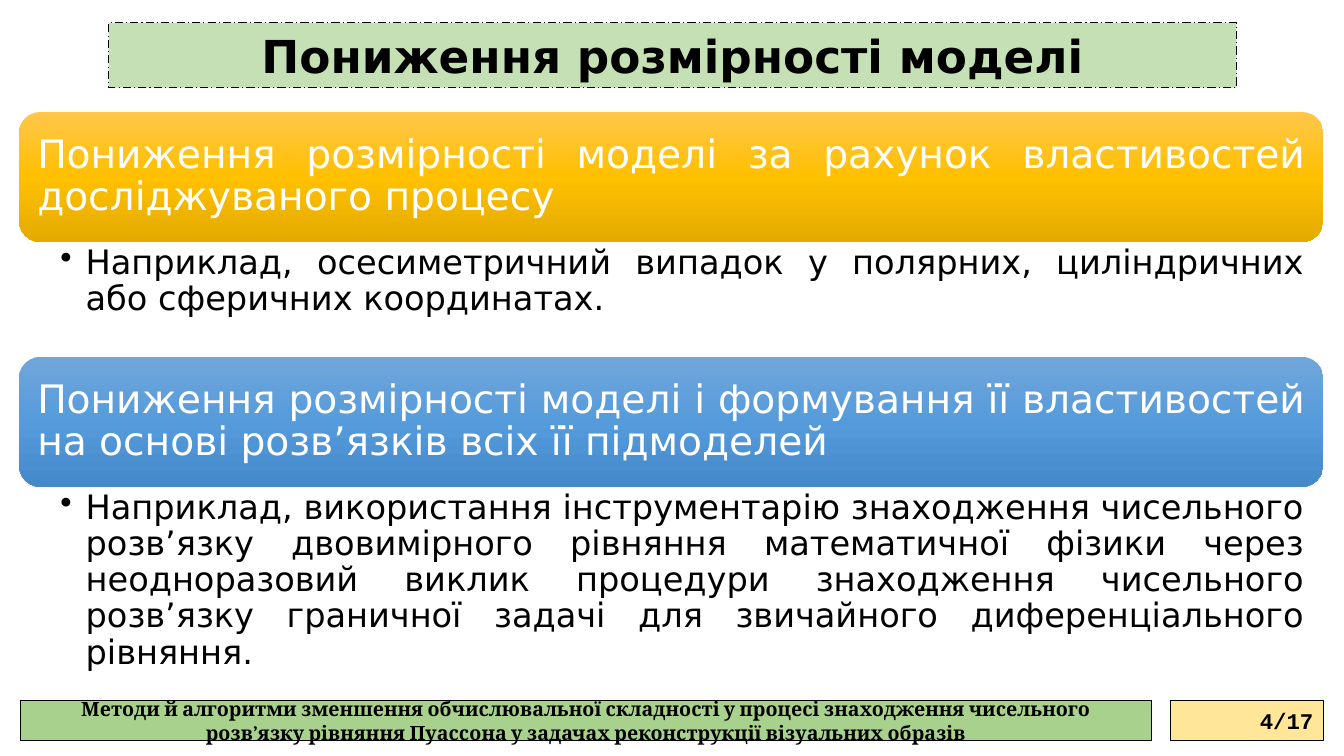
from copy import deepcopy
from lxml.etree import SubElement
from pptx import Presentation
from pptx.dml.color import RGBColor
from pptx.enum.dml import MSO_LINE
from pptx.enum.shapes import MSO_SHAPE
from pptx.enum.text import MSO_ANCHOR, PP_ALIGN
from pptx.oxml.ns import qn
from pptx.util import Cm, Pt

BLACK = RGBColor(0x00, 0x00, 0x00)
WHITE = RGBColor(0xFF, 0xFF, 0xFF)
PALE = RGBColor(0xC5, 0xE0, 0xB4)
GREEN = RGBColor(0xA9, 0xD1, 0x8E)
CREAM = RGBColor(0xFF, 0xE6, 0x99)
GOLD = (RGBColor(0xFF, 0xC6, 0x4B), RGBColor(0xFF, 0xC0, 0x00), RGBColor(0xE3, 0xAB, 0x00))
BLUE = (RGBColor(0x71, 0xA6, 0xDB), RGBColor(0x55, 0x9B, 0xDB), RGBColor(0x44, 0x8A, 0xCA))
SANS = "DejaVu Sans"
LEFT, WIDE, HIGH = 0.48, 32.87, 3.28

TOPICS = [
    (2.82, GOLD, 2.89,
     "Пониження розмірності моделі за рахунок властивостей досліджуваного процесу",
     "Наприклад, осесиметричний випадок у полярних, циліндричних або сферичних координатах."),
    (8.99, BLUE, 4.9,
     "Пониження розмірності моделі і формування її властивостей на основі розв’язків всіх її підмоделей",
     "Наприклад, використання інструментарію знаходження чисельного розв’язку двовимірного рівняння "
     "математичної фізики через неодноразовий виклик процедури знаходження чисельного розв’язку "
     "граничної задачі для звичайного диференціального рівняння."),
]


def style(para, text, size, face, color, align, bold=False):
    para.text = text
    para.alignment = align
    font = para.font
    font.size = Pt(size)
    font.name = face
    font.bold = bold
    font.color.rgb = color


def inset(frame, left, top, right, bottom):
    frame.word_wrap = True
    frame.margin_left, frame.margin_top = Cm(left), Cm(top)
    frame.margin_right, frame.margin_bottom = Cm(right), Cm(bottom)


def add_box(slide, place, fill, text, size, face, align=PP_ALIGN.CENTER, dash=None):
    box = slide.shapes.add_shape(MSO_SHAPE.RECTANGLE, *map(Cm, place))
    box.shadow.inherit = False
    box.fill.solid()
    box.fill.fore_color.rgb = fill
    box.line.color.rgb = BLACK
    box.line.width = Pt(0.75)
    if dash:
        box.line.dash_style = dash
    frame = box.text_frame
    frame.word_wrap = True
    frame.vertical_anchor = MSO_ANCHOR.MIDDLE
    style(frame.paragraphs[0], text, size, face, BLACK, align, True)


def shade(shape, colors):
    fill = shape.fill
    fill.gradient()
    fill.gradient_angle = 270
    stops = shape.element.spPr.find(qn("a:gradFill")).find(qn("a:gsLst"))
    stops.insert(1, deepcopy(stops[0]))
    for spot, (stop, color) in enumerate(zip(fill.gradient_stops, colors)):
        stop.position = spot / 2
        stop.color.rgb = color


def add_band(slide, top, colors, text):
    band = slide.shapes.add_shape(
        MSO_SHAPE.ROUNDED_RECTANGLE, Cm(LEFT), Cm(top), Cm(WIDE), Cm(HIGH))
    band.shadow.inherit = False
    band.line.fill.background()
    shade(band, colors)
    frame = band.text_frame
    inset(frame, 0.3, 0.3, 0.3, 0.3)
    frame.vertical_anchor = MSO_ANCHOR.MIDDLE
    para = frame.paragraphs[0]
    para.line_spacing = 0.9
    style(para, text, 28, SANS, WHITE, PP_ALIGN.JUSTIFY)


def add_note(slide, top, high, text):
    note = slide.shapes.add_textbox(Cm(LEFT), Cm(top), Cm(WIDE), Cm(high))
    frame = note.text_frame
    inset(frame, 1.04, 0.08, 0.48, 0.08)
    para = frame.paragraphs[0]
    props = para._p.get_or_add_pPr()
    props.set("marL", str(Cm(0.64)))
    props.set("indent", str(-Cm(0.64)))
    SubElement(props, qn("a:buChar")).set("char", "•")
    para.line_spacing = 0.9
    style(para, text, 24, SANS, BLACK, PP_ALIGN.JUSTIFY)


def main():
    deck = Presentation()
    deck.slide_width, deck.slide_height = Cm(33.87), Cm(19.05)
    slide = deck.slides.add_slide(deck.slide_layouts[6])
    add_box(slide, (2.74, 0.58, 28.42, 1.63), PALE, "Пониження розмірності моделі",
            32.4, SANS, dash=MSO_LINE.LONG_DASH_DOT)
    for top, colors, high, head, text in TOPICS:
        add_band(slide, top, colors, head)
        add_note(slide, top + HIGH, high, text)
    add_box(slide, (0.51, 17.65, 28.52, 1.02), GREEN,
            "Методи й алгоритми зменшення обчислювальної складності у процесі знаходження чисельного "
            "розв’язку рівняння Пуассона у задачах реконструкції візуальних образів", 14, "Cambria")
    add_box(slide, (29.51, 17.65, 3.84, 1.02), CREAM, "4/17", 16, "Courier New", PP_ALIGN.RIGHT)
    deck.save("out.pptx")


if __name__ == "__main__":
    main()
